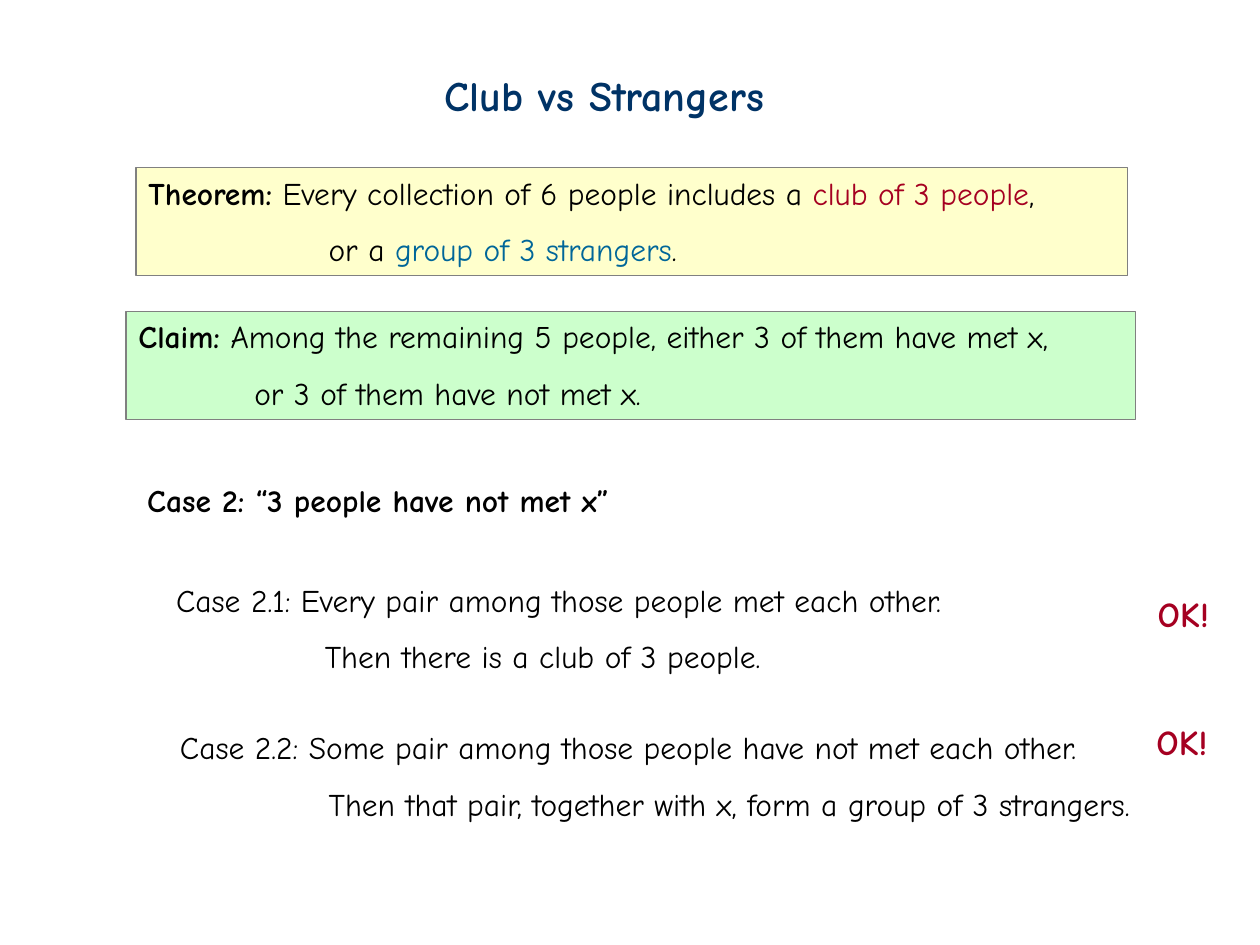
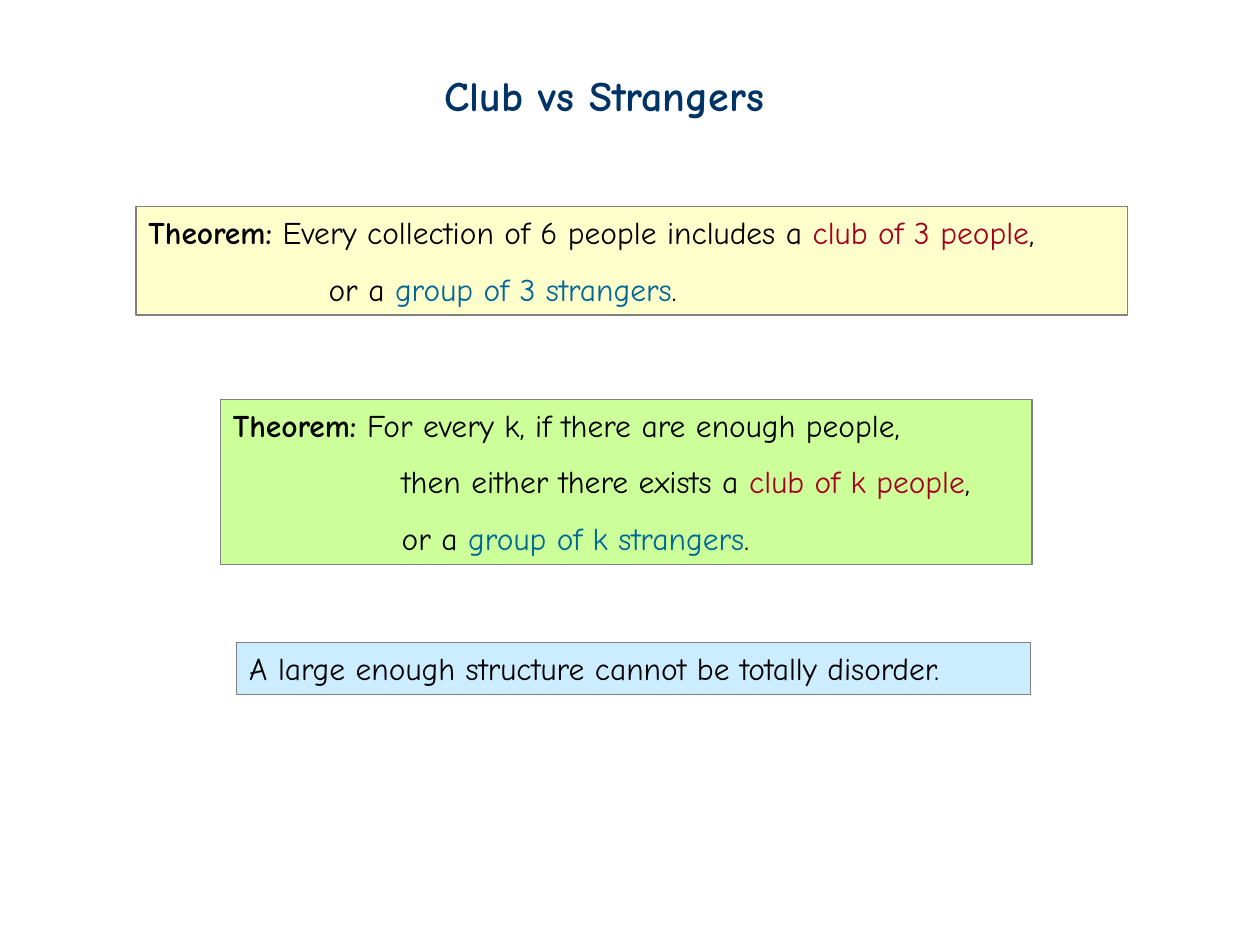
from dataclasses import dataclass

from pptx import Presentation
from pptx.dml.color import RGBColor
from pptx.enum.shapes import MSO_SHAPE
from pptx.enum.text import MSO_ANCHOR, MSO_AUTO_SIZE, PP_ALIGN
from pptx.util import Inches, Pt

RECTANGLE = MSO_SHAPE.RECTANGLE
TOP = MSO_ANCHOR.TOP
LEFT = PP_ALIGN.LEFT
FIXED_SIZE = MSO_AUTO_SIZE.NONE
TITLE_ONLY = 5


@dataclass(frozen=True)
class Theme:
    font: str = "Comic Neue"
    title_size: int = 24
    body_size: int = 18
    verdict_size: int = 20
    line_width: float = 0.75
    continued_spacing: float = 1.5
    navy: str = "003366"
    black: str = "000000"
    red: str = "A50021"
    blue: str = "006699"
    border: str = "808080"
    yellow: str = "FFFFCC"
    mint: str = "CCFFCC"
    lime: str = "CCFF99"
    sky: str = "CCECFF"


THEME = Theme()


def plain(text):
    return text, THEME.black, False


def strong(text):
    return text, THEME.black, True


def club(size):
    return f"club of {size} people", THEME.red, False


def strangers(size):
    return f"group of {size} strangers", THEME.blue, False


def write_lines(shape, lines, size=THEME.body_size, indent=0):
    """Fill a shape with lines of (text, colour, bold) spans; later lines are indented."""
    frame = shape.text_frame
    frame.word_wrap = True
    frame.auto_size = FIXED_SIZE
    frame.vertical_anchor = TOP
    for index, spans in enumerate(lines):
        para = frame.add_paragraph() if index else frame.paragraphs[0]
        para.alignment = LEFT
        if index:
            para.line_spacing = THEME.continued_spacing
            para._p.get_or_add_pPr().set("marL", str(Inches(indent)))
        for text, colour, bold in spans:
            span = para.add_run()
            span.text = text
            span.font.name = THEME.font
            span.font.size = Pt(size)
            span.font.bold = bold
            span.font.color.rgb = RGBColor.from_string(colour)


def add_page(deck, title):
    page = deck.slides.add_slide(deck.slide_layouts[TITLE_ONLY])
    heading = page.shapes.title
    heading.left, heading.top = Inches(3.43), Inches(0.5)
    heading.width, heading.height = Inches(3.07), Inches(0.5)
    write_lines(heading, [[(title, THEME.navy, True)]], THEME.title_size)
    return page


def add_panel(page, area, fill, lines, indent=0):
    box = page.shapes.add_shape(RECTANGLE, *map(Inches, area))
    box.shadow.inherit = False
    box.fill.solid()
    box.fill.fore_color.rgb = RGBColor.from_string(fill)
    box.line.color.rgb = RGBColor.from_string(THEME.border)
    box.line.width = Pt(THEME.line_width)
    write_lines(box, lines, indent=indent)


def add_text(page, area, lines, size=THEME.body_size, indent=0):
    box = page.shapes.add_textbox(*map(Inches, area))
    write_lines(box, lines, size, indent)


def add_six_people_theorem(page, top):
    add_panel(page, (1.08, top, 7.87, 0.86), THEME.yellow, [
        [strong("Theorem:"), plain(" Every collection of 6 people includes a "),
         club(3), plain(",")],
        [plain("or a "), strangers(3), plain(".")],
    ], indent=1.43)


def add_subcase(page, area, premise, conclusion):
    add_text(page, area, [[plain(premise)], [plain(conclusion)]], indent=1.18)


def add_verdict(page, left, top):
    add_text(page, (left, top, 0.66, 0.43), [[("OK!", THEME.red, True)]],
             THEME.verdict_size)


def build_case_page(deck):
    page = add_page(deck, "Club vs Strangers")
    add_six_people_theorem(page, 1.33)
    add_panel(page, (1, 2.47, 8.01, 0.86), THEME.mint, [
        [strong("Claim:"),
         plain(" Among the remaining 5 people, either 3 of them have met x,")],
        [plain("or 3 of them have not met x.")],
    ], indent=0.92)
    add_text(page, (1.07, 3.77, 4.41, 0.4),
             [[strong("Case 2: “3 people have not met x”")]])
    add_subcase(page, (1.3, 4.56, 6.74, 0.85),
                "Case 2.1: Every pair among those people met each other.",
                "Then there is a club of 3 people.")
    add_verdict(page, 9.09, 4.65)
    add_subcase(page, (1.33, 5.73, 8.39, 0.85),
                "Case 2.2: Some pair among those people have not met each other.",
                "Then that pair, together with x, form a group of 3 strangers.")
    add_verdict(page, 9.08, 5.67)


def build_general_page(deck):
    page = add_page(deck, "Club vs Strangers")
    add_six_people_theorem(page, 1.64)
    add_panel(page, (1.75, 3.17, 6.44, 1.31), THEME.lime, [
        [strong("Theorem:"), plain(" For every k, if there are enough people,")],
        [plain("then either there exists a "), club("k"), plain(",")],
        [plain("or a "), strangers("k"), plain(".")],
    ], indent=1.34)
    add_panel(page, (1.88, 5.1, 6.3, 0.41), THEME.sky,
              [[plain("A large enough structure cannot be totally disorder.")]])


def main():
    deck = Presentation()
    deck.slide_width, deck.slide_height = Inches(10), Inches(7.5)
    build_case_page(deck)
    build_general_page(deck)
    deck.save("out.pptx")


if __name__ == "__main__":
    main()
